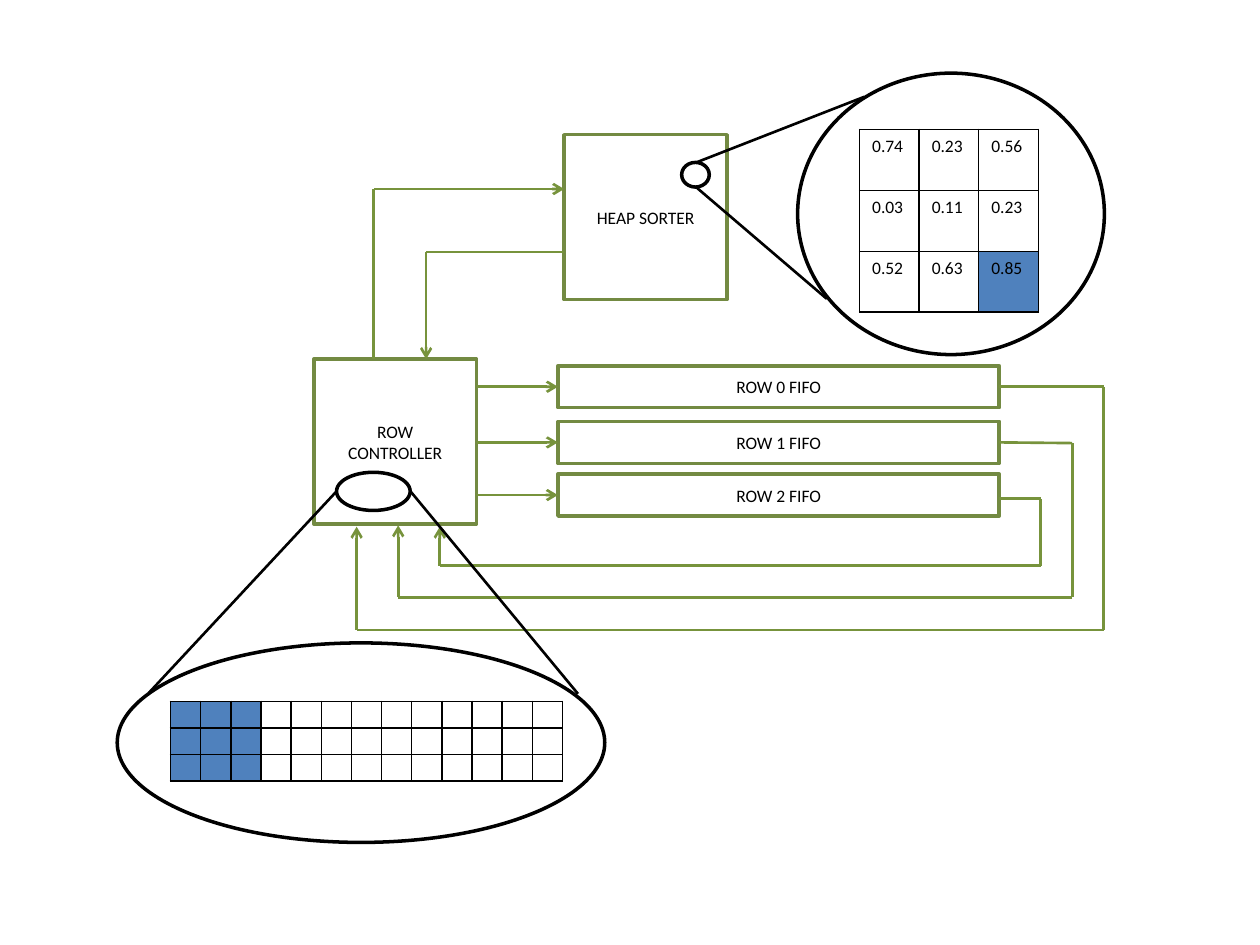
from lxml import etree
from pptx import Presentation
from pptx.dml.color import RGBColor
from pptx.enum import shapes, text
from pptx.oxml import parse_xml
from pptx.oxml.ns import nsdecls, qn
from pptx.util import Pt

BLACK = RGBColor(0x00, 0x00, 0x00)
WHITE = RGBColor(0xFF, 0xFF, 0xFF)
BLUE = RGBColor(0x4F, 0x81, 0xBD)
BOX_GREEN = RGBColor(0x73, 0x8A, 0x42)
WIRE_GREEN = RGBColor(0x77, 0x93, 0x3C)
LABEL_FORMAT = {"name": "Calibri", "size": Pt(10)}

presentation = Presentation()
presentation.slide_width, presentation.slide_height = Pt(720), Pt(540)
slide = presentation.slides.add_slide(presentation.slide_layouts[6])


def add_line(start, end, color=WIRE_GREEN, arrow=False):
    """Draw a straight line; an arrow points at its start."""
    line = slide.shapes.add_connector(
        shapes.MSO_CONNECTOR.STRAIGHT, *[Pt(value) for value in (*start, *end)])
    line.line.color.rgb = color
    line.line.width = Pt(1.5)
    if arrow:
        etree.SubElement(line.line._get_or_add_ln(), qn("a:headEnd"), type="arrow")
    etree.SubElement(line._element.spPr, qn("a:effectLst"))
    return line


def add_grid(left, top, column_width, row_height, rows, blue_cells):
    """Add a bordered table whose cells at blue_cells (row, column) are blue."""
    columns = len(rows[0])
    table = slide.shapes.add_table(
        len(rows), columns, Pt(left), Pt(top),
        Pt(column_width * columns), Pt(row_height * len(rows))).table
    table.first_row = table.horz_banding = False
    for column in table.columns:
        column.width = Pt(column_width)
    for row_index, values in enumerate(rows):
        table.rows[row_index].height = Pt(row_height)
        for column_index, value in enumerate(values):
            cell = table.cell(row_index, column_index)
            paragraph = cell.text_frame.paragraphs[0]
            if value:
                run = paragraph.add_run()
                run.text = value
                for name, setting in LABEL_FORMAT.items():
                    setattr(run.font, name, setting)
                run.font.color.rgb = BLACK
            else:
                cell.margin_top = cell.margin_bottom = 0
                etree.SubElement(paragraph._p, qn("a:endParaRPr"), sz="600")
            properties = cell._tc.get_or_add_tcPr()
            for side in ("lnL", "lnR", "lnT", "lnB"):
                properties.append(parse_xml(
                    f'<a:{side} {nsdecls("a")} w="12700"><a:solidFill>'
                    f'<a:srgbClr val="{BLACK}"/></a:solidFill></a:{side}>'))
            cell.fill.solid()
            cell.fill.fore_color.rgb = BLUE if (row_index, column_index) in blue_cells else WHITE


# Row buffer and sorting window
add_grid(97.4, 400.8, 17.23, 15.2, [[""] * 13] * 3,
         {(row, column) for row in range(3) for column in range(3)})
add_grid(491.2, 73.9, 34.05, 34.85,
         [["0.74", "0.23", "0.56"], ["0.03", "0.11", "0.23"], ["0.52", "0.63", "0.85"]],
         {(2, 2)})

# Blocks
blocks = {}
for label, left, top, width, height in [
        ("ROW 0 FIFO", 318.8, 209, 252.2, 24),
        ("ROW 1 FIFO", 318.8, 240.8, 252.2, 24),
        ("ROW 2 FIFO", 318.8, 270.9, 252.2, 24),
        ("ROW\vCONTROLLER", 179.3, 205.2, 93, 94.2),
        ("HEAP SORTER", 322.4, 77, 93, 94.2)]:
    block = slide.shapes.add_shape(
        shapes.MSO_SHAPE.RECTANGLE, Pt(left), Pt(top), Pt(width), Pt(height))
    block.shadow.inherit = False
    block.fill.background()
    block.line.color.rgb = BOX_GREEN
    block.line.width = Pt(2)
    frame = block.text_frame
    frame.word_wrap = True
    frame.vertical_anchor = text.MSO_ANCHOR.MIDDLE
    frame.text = label
    paragraph = frame.paragraphs[0]
    paragraph.alignment = text.PP_ALIGN.CENTER
    for run in paragraph.runs:
        for name, setting in LABEL_FORMAT.items():
            setattr(run.font, name, setting)
        run.font.color.rgb = BLACK
    blocks[label] = block

# Each FIFO is fed by the controller and loops back beneath it
for index, (middle, exit_y, bottom, tip) in enumerate([
        (221, 221, 360, 301), (252.8, 253.2, 341.3, 300.2), (282.9, 285, 323.3, 301)]):
    fifo = blocks[f"ROW {index} FIFO"]
    outer, entry = 630.7 - 18 * index, 203.8 + 23.75 * index
    feed = add_line((318.8, middle), (272.3, middle), arrow=True)
    feed.begin_connect(fifo, 1)
    add_line((entry, tip), (entry, bottom), arrow=True)
    add_line((outer, bottom), (entry, bottom))
    add_line((outer, bottom), (outer, exit_y))
    exit_line = add_line((outer, exit_y), (571, exit_y))
    if index < 2:
        exit_line.end_connect(fifo, 3)

# Controller to sorter and back
add_line((213.5, 205.2), (213.5, 108))
add_line((322.4, 108), (213.5, 108), arrow=True)
add_line((243.5, 205.2), (243.5, 144), arrow=True)
add_line((322.4, 144), (243.5, 144))

# Magnified details
for left, top, width, height in [
        (67, 367.4, 278.6, 114), (192.3, 269.9, 42.1, 21.8),
        (455.8, 41.8, 175.3, 160.8), (389.5, 92.8, 15.8, 14.1)]:
    lens = slide.shapes.add_shape(
        shapes.MSO_SHAPE.OVAL, Pt(left), Pt(top), Pt(width), Pt(height))
    lens.shadow.inherit = False
    lens.fill.background()
    lens.line.color.rgb = BLACK
    lens.line.width = Pt(2)
for start, end in [
        ((330.3, 396.5), (234.6, 280.8)), ((85, 396), (192.3, 280.8)),
        ((494, 55.3), (398, 92.8)), ((472.5, 170.8), (397.6, 106.8))]:
    add_line(start, end, BLACK)

presentation.save("out.pptx")
